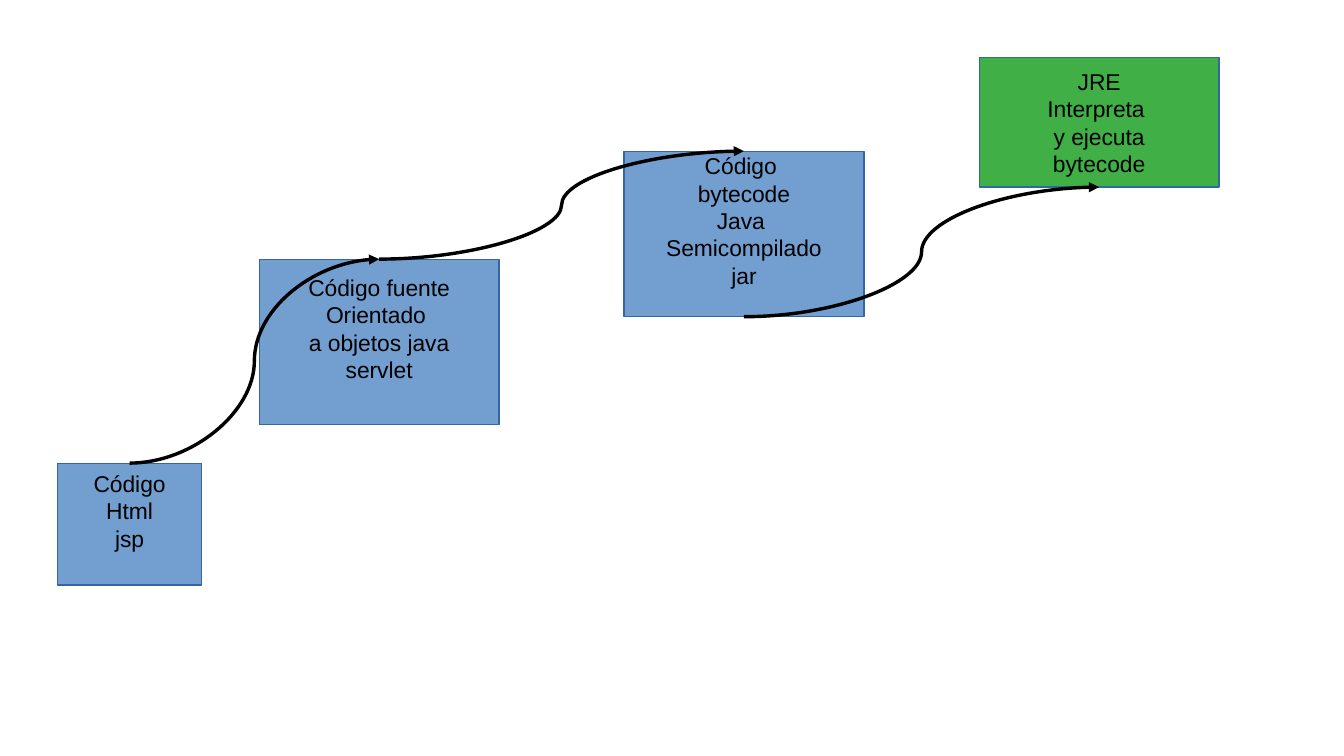
from dataclasses import dataclass

from lxml import etree
from pptx import Presentation
from pptx.dml.color import RGBColor
from pptx.enum.shapes import MSO_CONNECTOR, MSO_SHAPE
from pptx.enum.text import MSO_ANCHOR, PP_ALIGN
from pptx.oxml.ns import qn
from pptx.slide import Slide
from pptx.util import Cm, Pt

RECTANGLE = MSO_SHAPE.RECTANGLE
CURVE = MSO_CONNECTOR.CURVE
MIDDLE = MSO_ANCHOR.MIDDLE
CENTER = PP_ALIGN.CENTER

COLORS = {
    "code": "729FCF",
    "runtime": "3FAF46",
    "border": "3465A4",
    "ink": "000000",
}
FONT_NAME = "Arial"
FONT_SIZE = Pt(13.5)
HAIRLINE = Pt(0)
BLANK_LAYOUT = 6


@dataclass(frozen=True)
class Stage:
    """A step of the build; lengths in centimetres."""

    lines: tuple[str, ...]
    left: float
    top: float
    width: float
    height: float
    fill: str = "code"
    bottom_inset: float = 0.57

    @property
    def top_center(self) -> tuple[float, float]:
        return self.left + self.width / 2, self.top

    @property
    def bottom_center(self) -> tuple[float, float]:
        return self.left + self.width / 2, self.top + self.height


PAGE_CODE = Stage(("Código", "Html", "jsp"), 1.2, 9.65, 3, 2.54)
SOURCE_CODE = Stage(
    ("Código fuente", "Orientado ", "a objetos java", "servlet"), 5.4, 5.4, 5, 3.45
)
BYTECODE = Stage(
    ("Código ", "bytecode", "Java ", "Semicompilado", "jar"), 13, 3.15, 5, 3.45
)
RUNTIME = Stage(
    ("JRE", "Interpreta ", "y ejecuta", "bytecode"), 20.4, 1.2, 5, 2.7, "runtime", 0
)
STAGES = (PAGE_CODE, SOURCE_CODE, BYTECODE, RUNTIME)
ARROWS = (
    (PAGE_CODE.top_center, SOURCE_CODE.top_center),
    (SOURCE_CODE.top_center, BYTECODE.top_center),
    (BYTECODE.bottom_center, RUNTIME.bottom_center),
)


def color(name: str) -> RGBColor:
    return RGBColor.from_string(COLORS[name])


def draw_stage(page: Slide, stage: Stage) -> None:
    box = page.shapes.add_shape(
        RECTANGLE, Cm(stage.left), Cm(stage.top), Cm(stage.width), Cm(stage.height)
    )
    box.shadow.inherit = False
    box.fill.solid()
    box.fill.fore_color.rgb = color(stage.fill)
    box.line.color.rgb = color("border")
    box.line.width = HAIRLINE

    frame = box.text_frame
    frame.word_wrap = False
    frame.vertical_anchor = MIDDLE
    frame.margin_top = 0
    frame.margin_bottom = Cm(stage.bottom_inset)
    for index, line in enumerate(stage.lines):
        para = frame.add_paragraph() if index else frame.paragraphs[0]
        para.alignment = CENTER
        span = para.add_run()
        span.text = line
        span.font.name = FONT_NAME
        span.font.size = FONT_SIZE
        span.font.color.rgb = color("ink")


def draw_arrow(
    page: Slide, start: tuple[float, float], end: tuple[float, float]
) -> None:
    arrow = page.shapes.add_connector(CURVE, *map(Cm, start + end))
    arrow.line.color.rgb = color("ink")
    arrow.line.width = HAIRLINE
    etree.SubElement(arrow.line._get_or_add_ln(), qn("a:tailEnd"), type="triangle")
    etree.SubElement(arrow._element.spPr, qn("a:effectLst"))


def main() -> None:
    deck = Presentation()
    deck.slide_width = Cm(28)
    deck.slide_height = Cm(15.75)
    page = deck.slides.add_slide(deck.slide_layouts[BLANK_LAYOUT])
    for stage in STAGES:
        draw_stage(page, stage)
    for start, end in ARROWS:
        draw_arrow(page, start, end)
    deck.save("out.pptx")


if __name__ == "__main__":
    main()
